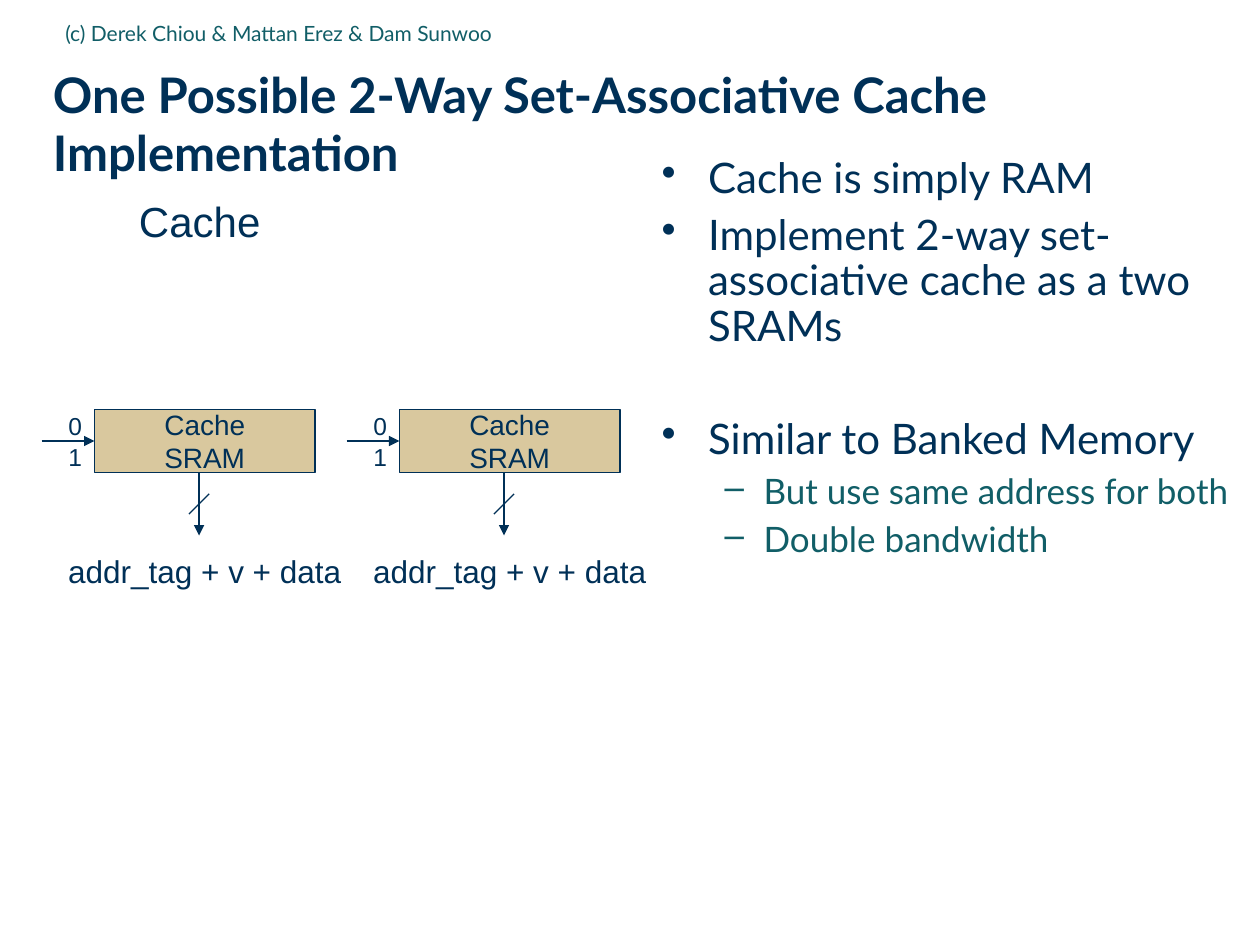
from dataclasses import dataclass

from pptx import Presentation
from pptx import util as u
from pptx.dml.color import RGBColor
from pptx.enum import shapes, text
from pptx.oxml import parse_xml
from pptx.oxml.ns import nsdecls

COLORS = {"navy": "003057", "teal": "115E67", "sand": "D9C89E"}
ALIGN = text.PP_ALIGN
ANCHOR = text.MSO_ANCHOR


@dataclass
class TextStyle:
    size: float
    font: str = "Arial"
    color: str = "navy"
    bold: bool = False
    align: ALIGN = ALIGN.LEFT
    anchor: ANCHOR = ANCHOR.TOP
    wrap: bool = False
    margin: float | None = None
    spacing: float | None = None


@dataclass
class Bullet:
    words: str
    level: int = 0
    space_before: float = 6.5


@dataclass
class BulletLevel:
    mark: str
    color: str
    size: float
    indent: float
    hanging: float


BULLET_LEVELS = [
    BulletLevel("•", "navy", 24, 0.37, 0.37),
    BulletLevel("–", "teal", 20, 0.81, 0.31),
]
BULLETS = [
    Bullet("Cache is simply RAM"),
    Bullet("Implement 2-way set-associative cache as a two SRAMs"),
    Bullet("Similar to Banked Memory", space_before=39),
    Bullet("But use same address for both", 1, 6),
    Bullet("Double bandwidth", 1, 6),
]
WAY_LEFTS = (0.33, 2.75)
BODY = TextStyle(24, "Lato", wrap=True, margin=0, spacing=0.9)
INDEX = TextStyle(14, align=ALIGN.RIGHT, anchor=ANCHOR.MIDDLE)


def rgb(name: str) -> RGBColor:
    return RGBColor.from_string(COLORS[name])


def write(frame, lines: list[str], style: TextStyle) -> None:
    frame_format = {"word_wrap": style.wrap, "vertical_anchor": style.anchor}
    if style.margin is not None:
        for side in ("left", "top", "right", "bottom"):
            frame_format[f"margin_{side}"] = u.Inches(style.margin)
    for key, value in frame_format.items():
        setattr(frame, key, value)
    font_format = {"size": u.Pt(style.size), "name": style.font, "bold": style.bold}
    for number, line in enumerate(lines):
        paragraph = frame.add_paragraph() if number else frame.paragraphs[0]
        paragraph.alignment = style.align
        paragraph.line_spacing = style.spacing
        run = paragraph.add_run()
        run.text = line
        for key, value in font_format.items():
            setattr(run.font, key, value)
        run.font.color.rgb = rgb(style.color)


def add_text(slide, left: float, top: float, width: float, height: float,
             lines: list[str], style: TextStyle):
    box = slide.shapes.add_textbox(*map(u.Inches, (left, top, width, height)))
    write(box.text_frame, lines, style)
    return box.text_frame


def add_line(slide, start: tuple[float, float], end: tuple[float, float],
             arrow: bool = False):
    line = slide.shapes.add_connector(
        shapes.MSO_CONNECTOR.STRAIGHT, *map(u.Inches, (*start, *end)))
    line.line.color.rgb = rgb("navy")
    line.line.width = u.Pt(0.75)
    if arrow:
        line.line._get_or_add_ln().append(
            parse_xml(f'<a:tailEnd {nsdecls("a")} type="triangle"/>'))
    line._element.spPr.append(parse_xml(f'<a:effectLst {nsdecls("a")}/>'))
    return line


def add_bullets(slide) -> None:
    frame = add_text(slide, 5.25, 1.25, 4.58, 5.75,
                     [bullet.words for bullet in BULLETS], BODY)
    for paragraph, bullet in zip(frame.paragraphs, BULLETS):
        level = BULLET_LEVELS[bullet.level]
        paragraph.level = bullet.level
        paragraph.space_before = u.Pt(bullet.space_before)
        font = paragraph.runs[0].font
        font.size = u.Pt(level.size)
        font.color.rgb = rgb(level.color)
        properties = paragraph._p.get_or_add_pPr()
        properties.set("marL", str(u.Inches(level.indent)))
        properties.set("indent", str(-u.Inches(level.hanging)))
        for xml in (
            f'<a:buClr {nsdecls("a")}><a:srgbClr val="{COLORS[level.color]}"/></a:buClr>',
            f'<a:buChar {nsdecls("a")} char="{level.mark}"/>',
        ):
            properties.append(parse_xml(xml))


def add_way(slide, left: float) -> None:
    """Draw one cache way: its SRAM, address input and data output."""
    top, middle, bottom = 3.25, 3.5, 3.75
    sram_left = left + 0.42
    output = left + 1.25

    for index, index_top in enumerate((top, middle)):
        add_text(slide, left, index_top, 0.42, 0.25, [str(index)], INDEX)

    sram = slide.shapes.add_shape(
        shapes.MSO_SHAPE.RECTANGLE,
        *map(u.Inches, (sram_left, top, 1.75, bottom - top)))
    sram.shadow.inherit = False
    sram.fill.solid()
    sram.fill.fore_color.rgb = rgb("sand")
    sram.line.color.rgb = rgb("navy")
    sram.line.width = u.Pt(0.75)
    write(sram.text_frame, ["Cache", "SRAM"],
          TextStyle(16, align=ALIGN.CENTER, anchor=ANCHOR.MIDDLE))

    address = add_line(slide, (left, middle), (sram_left, middle), arrow=True)
    address.end_connect(sram, 1)
    add_line(slide, (output, bottom), (output, bottom + 0.5), arrow=True)
    add_line(slide, (output + 0.08, 3.92), (output - 0.08, 4.08))
    add_text(slide, left + 0.1, 4.33, 2.39, 0.4, ["addr_tag + v + data"],
             TextStyle(18, align=ALIGN.CENTER))


def main() -> None:
    deck = Presentation()
    deck.slide_width, deck.slide_height = u.Inches(10), u.Inches(7.5)
    slide = deck.slides.add_slide(deck.slide_layouts[6])

    add_text(slide, 0.42, 0.5, 9.41, 0.98,
             ["One Possible 2-Way Set-Associative Cache Implementation"],
             TextStyle(28, "Lato", bold=True, anchor=ANCHOR.MIDDLE,
                       wrap=True, margin=0, spacing=0.99))
    add_bullets(slide)
    add_text(slide, 0.42, 0.03, 5.67, 0.46,
             ["(c) Derek Chiou & Mattan Erez & Dam Sunwoo"],
             TextStyle(12, "Lato", "teal", anchor=ANCHOR.MIDDLE, wrap=True))
    add_text(slide, 1, 1.5, 1.17, 0.5, ["Cache"], TextStyle(24, align=ALIGN.CENTER))
    for left in WAY_LEFTS:
        add_way(slide, left)

    deck.save("out.pptx")


if __name__ == "__main__":
    main()
